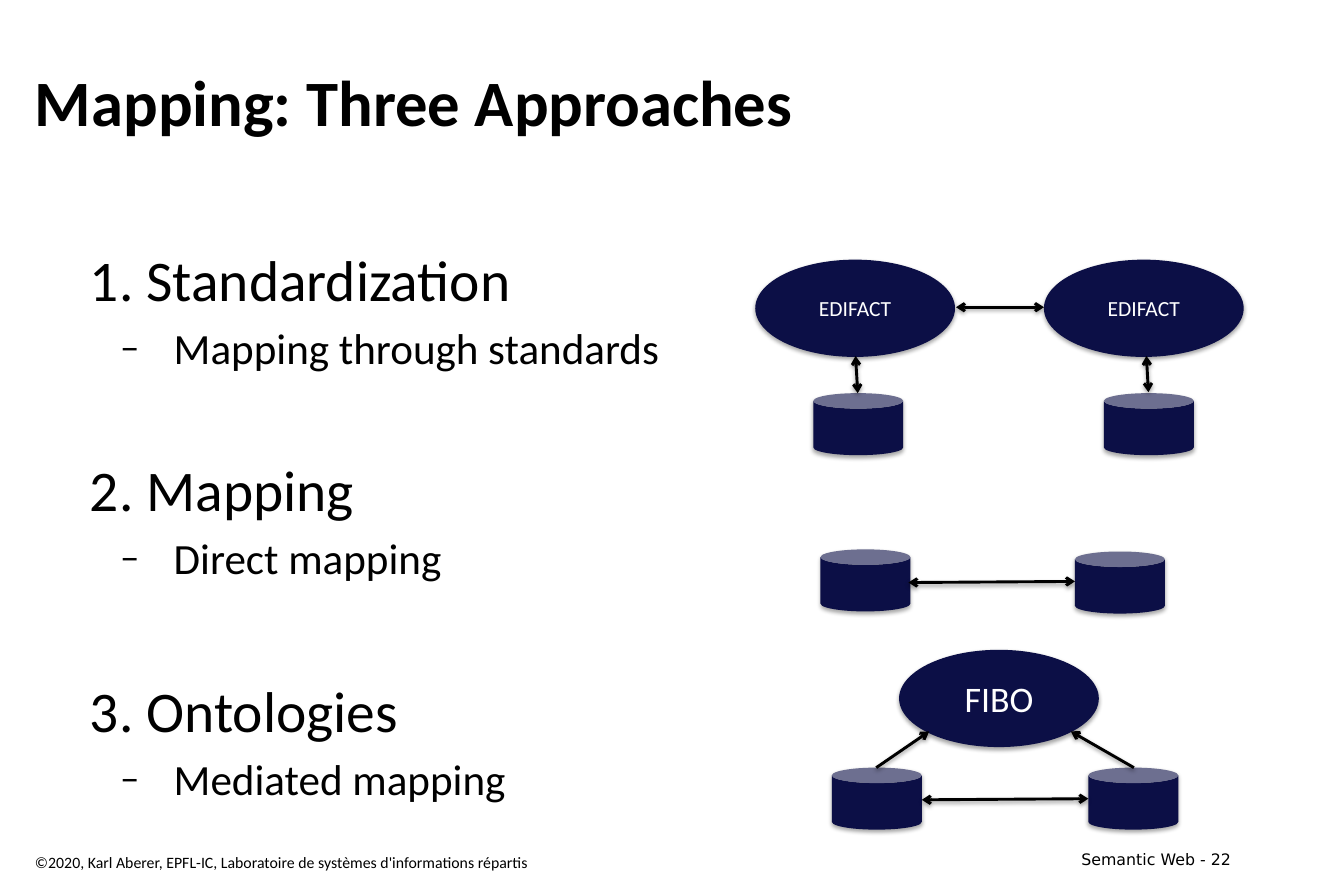
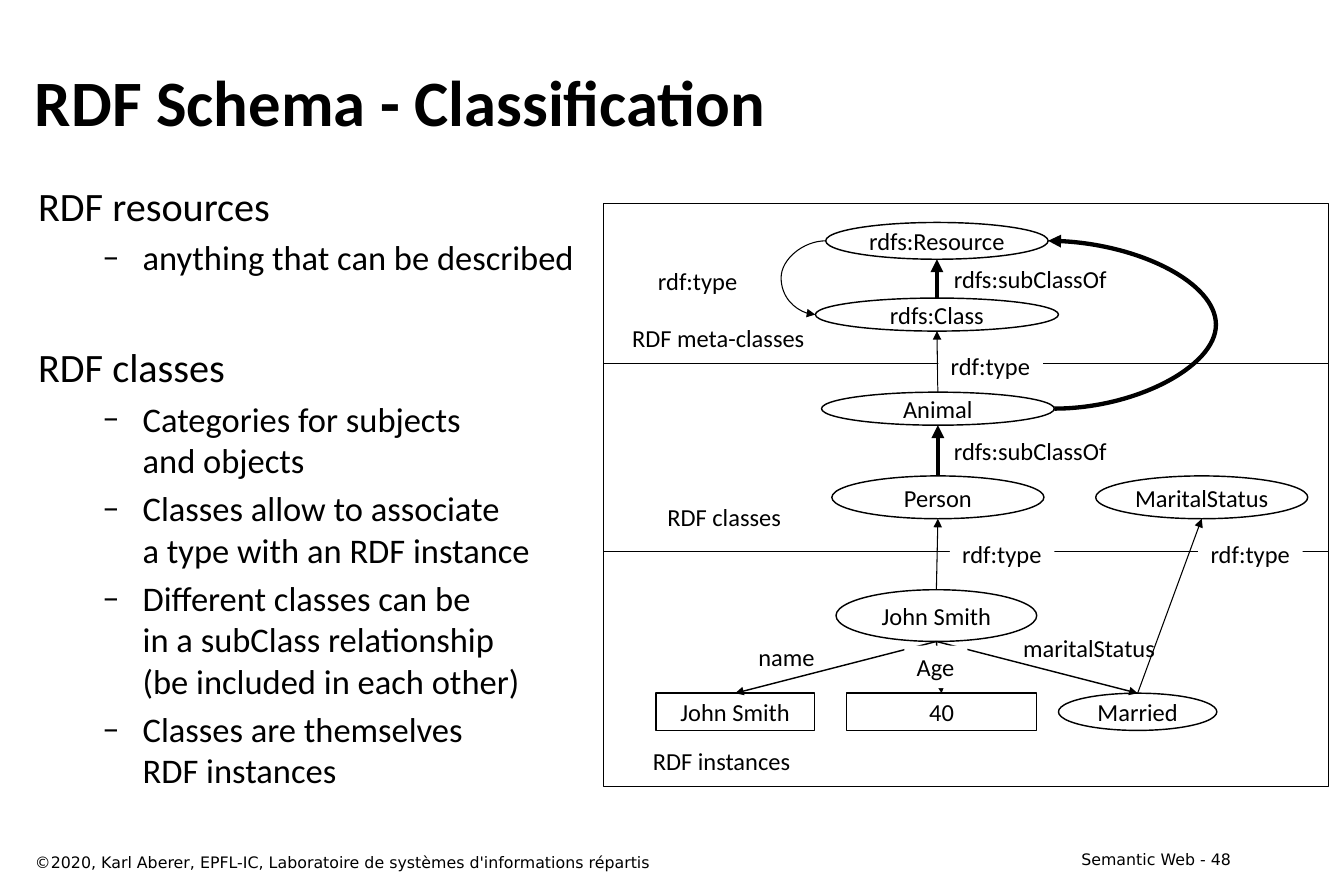
from dataclasses import dataclass
from itertools import pairwise
from typing import Optional

from lxml.etree import SubElement
from pptx import Presentation
from pptx.dml.color import RGBColor
from pptx.enum.shapes import MSO_CONNECTOR as Connector, MSO_SHAPE as Preset
from pptx.enum.text import MSO_ANCHOR as Anchor, PP_ALIGN as Align
from pptx.oxml.ns import qn
from pptx.util import Pt

BLACK, WHITE, NAVY = "000000", "FFFFFF", "0C0F46"
CALIBRI, DEJAVU = "Calibri", "DejaVu Sans"
COPYRIGHT = "©2020, Karl Aberer, EPFL-IC, Laboratoire de systèmes d'informations répartis"
COURSE = "Semantic Web"


@dataclass(frozen=True)
class Box:
    left: float
    top: float
    width: float
    height: float

    @property
    def lengths(self):
        return [Pt(value) for value in (self.left, self.top, self.width, self.height)]

    @property
    def top_middle(self):
        return self.left + self.width / 2, self.top

    @property
    def bottom_middle(self):
        return self.left + self.width / 2, self.top + self.height

    @property
    def left_middle(self):
        return self.left, self.top + self.height / 2

    @property
    def right_middle(self):
        return self.left + self.width, self.top + self.height / 2


@dataclass(frozen=True)
class Style:
    size: float
    color: str = BLACK
    font: str = CALIBRI
    bold: bool = False


@dataclass(frozen=True)
class Item:
    """A paragraph of a body text; bullet items are indented."""
    text: str
    size: float
    space_before: float = 0
    bullet: bool = False


@dataclass(frozen=True)
class Indent:
    margin: float
    hanging: float
    bullet_percent: int = 100


@dataclass(frozen=True)
class Shadow:
    opacity: int
    blur: float
    distance: float


@dataclass(frozen=True)
class Node:
    preset: Preset
    box: Box
    text: str


@dataclass(frozen=True)
class Label:
    box: Box
    text: str
    fill: Optional[str] = None


TITLE = Style(45, bold=True)
GRAPH = Style(17)
SHAPE_SHADOW = Shadow(35, 3.1, 1.8)
LINE_SHADOW = Shadow(38, 3.1, 1.6)


def rgb(color: str) -> RGBColor:
    return RGBColor.from_string(color)


def set_effects(shape, shadow: Optional[Shadow] = None) -> None:
    """Replace the theme's shadow by the given one or by none."""
    properties = shape.element.spPr
    effects = properties.find(qn("a:effectLst"))
    if effects is None:
        effects = SubElement(properties, qn("a:effectLst"))
    if shadow:
        outer = SubElement(effects, qn("a:outerShdw"), blurRad=str(Pt(shadow.blur)),
                           dist=str(Pt(shadow.distance)), dir="5400000", rotWithShape="0")
        color = SubElement(outer, qn("a:srgbClr"), val=BLACK)
        SubElement(color, qn("a:alpha"), val=str(shadow.opacity * 1000))


def add_runs(paragraph, text: str, style: Style) -> None:
    for index, line in enumerate(text.split("\n")):
        if index:
            paragraph.add_line_break()
        run = paragraph.add_run()
        run.text = line
        run.font.name = style.font
        run.font.size = Pt(style.size)
        run.font.bold = style.bold
        run.font.color.rgb = rgb(style.color)


def prepare_frame(shape, anchor=Anchor.TOP, wrap: bool = True):
    frame = shape.text_frame
    frame.word_wrap = wrap
    frame.vertical_anchor = anchor
    frame.margin_left = frame.margin_right = Pt(8.6)
    frame.margin_top = frame.margin_bottom = Pt(4.3)
    return frame


def add_text(slide, box: Box, text: str, style: Style, align=Align.LEFT,
             anchor=Anchor.TOP, wrap: bool = True, fill: Optional[str] = None) -> None:
    shape = slide.shapes.add_textbox(*box.lengths)
    if fill:
        shape.fill.solid()
        shape.fill.fore_color.rgb = rgb(fill)
    paragraph = prepare_frame(shape, anchor, wrap).paragraphs[0]
    paragraph.alignment = align
    add_runs(paragraph, text, style)


def add_body(slide, box: Box, items: list[Item], indent: Indent) -> None:
    frame = prepare_frame(slide.shapes.add_textbox(*box.lengths))
    for index, item in enumerate(items):
        paragraph = frame.add_paragraph() if index else frame.paragraphs[0]
        if item.bullet:
            properties = paragraph._p.get_or_add_pPr()
            properties.set("marL", str(Pt(indent.margin)))
            properties.set("indent", str(-Pt(indent.hanging)))
            SubElement(properties, qn("a:buSzPct"), val=str(indent.bullet_percent * 1000))
            SubElement(properties, qn("a:buFont"), typeface=CALIBRI)
            SubElement(properties, qn("a:buChar"), char="–")
        if index:
            paragraph.space_before = Pt(item.space_before)
        add_runs(paragraph, item.text, Style(item.size))


def add_preset(slide, preset: Preset, box: Box, fill: Optional[str] = None,
               line: float = 0, shadow: Optional[Shadow] = None,
               text: str = "", style: Style = GRAPH):
    shape = slide.shapes.add_shape(preset, *box.lengths)
    shape.shadow.inherit = False
    if fill:
        shape.fill.solid()
        shape.fill.fore_color.rgb = rgb(fill)
    else:
        shape.fill.background()
    if line:
        shape.line.color.rgb = rgb(BLACK)
        shape.line.width = Pt(line)
    else:
        shape.line.fill.background()
    set_effects(shape, shadow)
    if text:
        paragraph = prepare_frame(shape, Anchor.MIDDLE, wrap=False).paragraphs[0]
        paragraph.alignment = Align.CENTER
        add_runs(paragraph, text, style)
    return shape


def add_arrow(slide, start, end, width: float, arrowhead: str = "triangle",
              both_ends: bool = False, shadow: Optional[Shadow] = None,
              bulge: Optional[float] = None):
    """Draw an arrow; one with a bulge is curved and reaches that x position."""
    kind = Connector.STRAIGHT if bulge is None else Connector.CURVE
    connector = slide.shapes.add_connector(kind, *[Pt(value) for value in (*start, *end)])
    connector.line.color.rgb = rgb(BLACK)
    connector.line.width = Pt(width)
    line = connector.line._get_or_add_ln()
    if both_ends:
        SubElement(line, qn("a:headEnd"), type=arrowhead)
    SubElement(line, qn("a:tailEnd"), type=arrowhead)
    set_effects(connector, shadow)
    if bulge is not None:
        ratio = (bulge - start[0]) / (end[0] - start[0])
        adjustments = connector.element.spPr.find(qn("a:prstGeom")).get_or_add_avLst()
        SubElement(adjustments, qn("a:gd"), name="adj1", fmla=f"val {round(ratio * 100000)}")
    return connector


def add_slide(presentation, title: str, number: int, copyright_font: str):
    slide = presentation.slides.add_slide(presentation.slide_layouts[6])
    add_text(slide, Box(670.3, 586.8, 195.1, 21), f"{COURSE} - {number}",
             Style(11, font=DEJAVU), Align.RIGHT)
    add_text(slide, Box(15.8, 28.1, 849.6, 83.5), title, TITLE, anchor=Anchor.MIDDLE)
    add_text(slide, Box(15.8, 589, 600.5, 21), COPYRIGHT, Style(11, font=copyright_font))
    return slide


def build_approaches(presentation) -> None:
    slide = add_slide(presentation, "Mapping: Three Approaches", 22, CALIBRI)
    add_body(slide, Box(54, 165.6, 841.7, 411.8), [
        Item("1. Standardization", 40),
        Item("Mapping through standards", 30, 6, True),
        Item("2. Mapping", 40, 56),
        Item("Direct mapping", 30, 6, True),
        Item("3. Ontologies", 40, 64),
        Item("Mediated mapping", 30, 6, True),
    ], Indent(58.3, 37.4, 90))

    for left, top, text, size in [(525.6, 180.7, "EDIFACT", 15), (726.5, 180.7, "EDIFACT", 15),
                                  (625.7, 452.2, "FIBO", 25)]:
        add_preset(slide, Preset.OVAL, Box(left, top, 139, 67.7), NAVY,
                   shadow=SHAPE_SHADOW, text=text, style=Style(size, WHITE))
    for left, top in [(566, 273.6), (768.2, 273.6), (571, 382.3), (748.1, 383.8),
                      (578.9, 534.2), (757.4, 534.2)]:
        add_preset(slide, Preset.CAN, Box(left, top, 62.6, 43.2), NAVY, shadow=SHAPE_SHADOW)

    for start, end, both_ends in [
        ((665.3, 213.8), (726.5, 213.8), True),
        ((595.4, 247.7), (596.9, 273.6), True),
        ((797.8, 247.7), (799.2, 272.9), True),
        ((632.2, 405.4), (748.1, 404.6), True),
        ((641.5, 556.6), (757.4, 555.8), True),
        ((609.8, 534.2), (646.6, 509), False),
        ((789.1, 534.2), (745.2, 509), False),
    ]:
        add_arrow(slide, start, end, 2, "arrow", both_ends, LINE_SHADOW)


def build_classification(presentation) -> None:
    slide = add_slide(presentation, "RDF Schema - Classification", 48, DEJAVU)
    add_body(slide, Box(18, 121.7, 849.6, 457.2), [
        Item("RDF resources", 28),
        Item("anything that can be described", 24, 4.8, True),
        Item("RDF classes", 28, 45),
        Item("Categories for subjects\nand objects", 24, 4.8, True),
        Item("Classes allow to associate\na type with an RDF instance", 24, 4.8, True),
        Item("Different classes can be\nin a subClass relationship\n"
             "(be included in each other)", 24, 4.8, True),
        Item("Classes are themselves\nRDF instances", 24, 4.8, True),
    ], Indent(72.7, 28.1))

    for top, bottom in pairwise([141.8, 252.9, 383.8, 547.2]):
        add_preset(slide, Preset.RECTANGLE, Box(419.8, top, 504.7, bottom - top), line=0.75)

    resource = Node(Preset.OVAL, Box(574.6, 154.8, 154.8, 25.6), "rdfs:Resource")
    rdfs_class = Node(Preset.OVAL, Box(567.4, 207.4, 169.2, 23), "rdfs:Class")
    animal = Node(Preset.OVAL, Box(571.7, 272.9, 162, 23), "Animal")
    person = Node(Preset.OVAL, Box(578.9, 331.2, 147.6, 29.8), "Person")
    status = Node(Preset.OVAL, Box(762.5, 331.2, 147.6, 29.8), "MaritalStatus")
    john = Node(Preset.OVAL, Box(581.8, 410.4, 139.7, 36), "John Smith")
    name = Node(Preset.FLOWCHART_PROCESS, Box(456.5, 482.4, 110.2, 25.9), "John Smith")
    age = Node(Preset.FLOWCHART_PROCESS, Box(589, 482.4, 132.5, 25.9), "40")
    married = Node(Preset.OVAL, Box(736.6, 482.4, 110.2, 25.9), "Married")
    shapes = {
        node: add_preset(slide, node.preset, node.box, WHITE, 1, text=node.text)
        for node in (resource, rdfs_class, animal, person, status, john, name, age, married)
    }

    for lower, upper, width in [(rdfs_class, resource, 3), (animal, rdfs_class, 0.75),
                                (person, animal, 3), (john, person, 0.75),
                                (married, status, 0.75)]:
        add_arrow(slide, lower.box.top_middle, upper.box.bottom_middle, width)
    for value in (name, age, married):
        arrow = add_arrow(slide, john.box.bottom_middle, value.box.top_middle, 1)
        if value.preset == Preset.FLOWCHART_PROCESS:
            arrow.end_connect(shapes[value], 0)
    add_arrow(slide, animal.box.right_middle, resource.box.right_middle, 3, bulge=846)
    add_arrow(slide, resource.box.left_middle, rdfs_class.box.left_middle, 0.75, bulge=543.6)

    for label in [
        Label(Box(449.3, 180.7, 72.7, 29.5), "rdf:type", WHITE),
        Label(Box(653, 239.8, 72.7, 29.5), "rdf:type", WHITE),
        Label(Box(661, 370.8, 72.7, 29.5), "rdf:type", WHITE),
        Label(Box(833.8, 370.8, 72.7, 29.5), "rdf:type", WHITE),
        Label(Box(629.3, 449.3, 43.9, 29.5), "Age", WHITE),
        Label(Box(655.2, 179.3, 127.4, 29.5), "rdfs:subClassOf"),
        Label(Box(655.2, 298.8, 127.4, 29.5), "rdfs:subClassOf"),
        Label(Box(519.1, 442.8, 56.9, 29.5), "name"),
        Label(Box(703.4, 436.3, 109.4, 29.5), "maritalStatus"),
        Label(Box(431.3, 220.3, 141.8, 29.5), "RDF meta-classes"),
        Label(Box(455.8, 344.9, 97.2, 29.5), "RDF classes"),
        Label(Box(445.7, 514.8, 118.1, 29.5), "RDF instances"),
    ]:
        add_text(slide, label.box, label.text, GRAPH, wrap=False, fill=label.fill)


def main() -> None:
    presentation = Presentation()
    presentation.slide_width = Pt(935.3)
    presentation.slide_height = Pt(623.5)
    build_approaches(presentation)
    build_classification(presentation)
    presentation.save("out.pptx")


if __name__ == "__main__":
    main()
